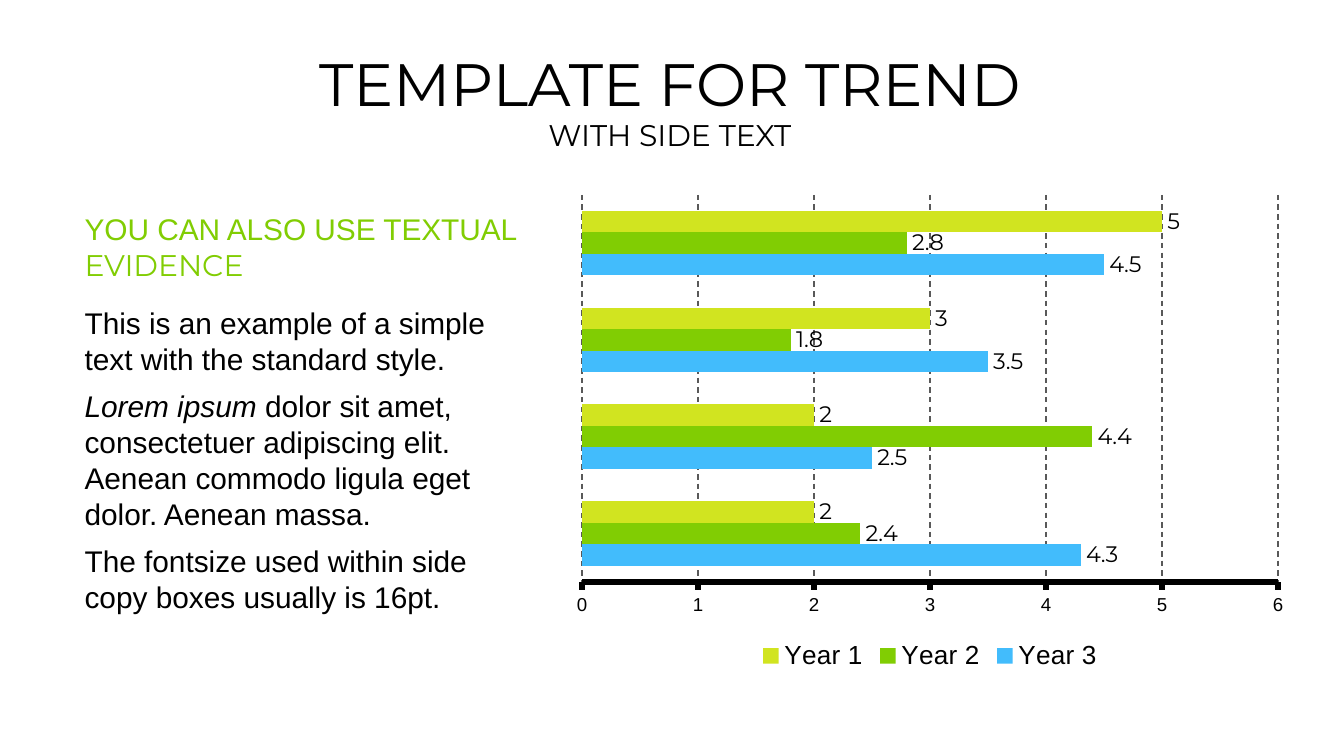
from dataclasses import dataclass

from lxml.etree import SubElement
from pptx import Presentation
from pptx.chart.data import CategoryChartData
from pptx.dml.color import RGBColor as Color
from pptx.enum.chart import XL_CHART_TYPE as ChartType
from pptx.enum.chart import XL_LABEL_POSITION as LabelPosition
from pptx.enum.chart import XL_LEGEND_POSITION as LegendPosition
from pptx.enum.chart import XL_TICK_MARK as TickMark
from pptx.enum.dml import MSO_LINE as LineStyle
from pptx.enum.text import MSO_ANCHOR as Anchor
from pptx.enum.text import PP_ALIGN as Align
from pptx.oxml.ns import qn
from pptx.util import Inches, Pt


@dataclass(frozen=True)
class Theme:
    black: Color = Color.from_string("000000")
    grid: Color = Color.from_string("595959")
    lime: Color = Color.from_string("D1E420")
    green: Color = Color.from_string("81CD03")
    blue: Color = Color.from_string("42BCFC")
    body_font: str = "Arial"
    display_font: str = "Montserrat"
    title_size: Pt = Pt(32)
    chart_size: Pt = Pt(18)
    body_size: Pt = Pt(16)
    legend_size: Pt = Pt(14)
    label_size: Pt = Pt(12)
    axis_size: Pt = Pt(10)


class SlideBuilder:
    """Draws themed elements on one slide."""

    def __init__(self, slide, theme):
        self.slide = slide
        self.theme = theme

    def style(self, font, size, name=None, color=None):
        font.size = size
        font.name = name or self.theme.body_font
        font.color.rgb = color or self.theme.black

    def text_frame(self, left, top, width, height, anchor=Anchor.TOP):
        box = self.slide.shapes.add_textbox(
            Inches(left), Inches(top), Inches(width), Inches(height))
        frame = box.text_frame
        frame.word_wrap = True
        frame.vertical_anchor = anchor
        frame.margin_left = frame.margin_right = 0
        frame.margin_top = frame.margin_bottom = 0
        return frame

    def heading(self, text, top, height, size, anchor=Anchor.TOP, spacing=1.0):
        frame = self.text_frame(0.63, top, 8.71, height, anchor)
        paragraph = frame.paragraphs[0]
        paragraph.text = text
        paragraph.alignment = Align.CENTER
        paragraph.line_spacing = spacing
        self.style(paragraph.font, size, self.theme.display_font)

    def side_text(self, heading_runs, body):
        theme = self.theme
        frame = self.text_frame(0.63, 1.57, 3.27, 3.32)
        heading = frame.paragraphs[0]
        heading.space_after = Pt(6)
        for text, name in heading_runs:
            run = heading.add_run()
            run.text = text
            self.style(run.font, theme.body_size, name, theme.green)
        for runs in body:
            paragraph = frame.add_paragraph()
            paragraph.space_before = Pt(6)
            self.style(paragraph.font, theme.body_size)
            for text, italic in runs:
                run = paragraph.add_run()
                run.text = text
                run.font.italic = italic

    def bar_chart(self, categories, series):
        theme = self.theme
        width, height = 5.48, 3.65
        data = CategoryChartData()
        data.categories = categories
        for name, values, _ in series:
            data.add_series(name, values)
        chart = self.slide.shapes.add_chart(
            ChartType.BAR_CLUSTERED, Inches(4.18), Inches(1.38),
            Inches(width), Inches(height), data).chart
        self.style(chart.font, theme.chart_size)
        chart.has_title = False
        chart.has_legend = True
        chart.legend.position = LegendPosition.BOTTOM
        chart.legend.include_in_layout = False
        self.style(chart.legend.font, theme.legend_size)
        chart.category_axis.visible = False
        self.value_axis(chart.value_axis)
        plot = chart.plots[0]
        plot.gap_width = 150
        plot.overlap = 0
        plot.vary_by_categories = False
        for bars, (_, _, color) in zip(plot.series, series):
            bars.format.fill.solid()
            bars.format.fill.fore_color.rgb = color
            labels = bars.data_labels
            labels.show_value = True
            labels.position = LabelPosition.OUTSIDE_END
            self.style(labels.font, theme.label_size, theme.display_font)
        self.plot_layout(chart, x=0.15 / width, y=0.07 / height,
                         w=5.18 / width, h=2.88 / height)

    def value_axis(self, axis):
        axis.minimum_scale, axis.maximum_scale, axis.major_unit = 0, 6, 1
        axis.major_tick_mark = TickMark.OUTSIDE
        axis.format.line.color.rgb = self.theme.black
        axis.format.line.width = Pt(3)
        self.style(axis.tick_labels.font, self.theme.axis_size)
        axis.has_major_gridlines = True
        line = axis.major_gridlines.format.line
        line.color.rgb = self.theme.grid
        line.width = Pt(0.75)
        line.dash_style = LineStyle.DASH

    def plot_layout(self, chart, **fractions):
        plot_area = chart.plots[0]._element.getparent()
        layout = plot_area.find(qn("c:layout"))
        if layout is None:
            layout = SubElement(plot_area, qn("c:layout"))
            plot_area.insert(0, layout)
        manual = SubElement(layout, qn("c:manualLayout"))
        settings = {"layoutTarget": "inner", "xMode": "edge", "yMode": "edge"}
        for tag, value in {**settings, **fractions}.items():
            SubElement(manual, qn(f"c:{tag}")).set("val", str(value))


def main():
    theme = Theme()
    presentation = Presentation()
    presentation.slide_width = Inches(10)
    presentation.slide_height = Inches(10 * 9 / 16)
    slide = presentation.slides.add_slide(presentation.slide_layouts[6])
    builder = SlideBuilder(slide, theme)
    builder.side_text(
        [("YOU CAN ALSO USE TEXTUAL ", theme.body_font),
         ("EVIDENCE", theme.display_font)],
        [[("This is an example of a simple text with the standard style.", False)],
         [("Lorem ipsum ", True),
          ("dolor sit amet, consectetuer adipiscing elit. "
           "Aenean commodo ligula eget dolor. Aenean massa.", False)],
         [("The fontsize used within side copy boxes usually is 16pt.", False)]])
    builder.heading("TEMPLATE FOR TREND", 0.45, 0.29, theme.title_size, spacing=0.8)
    builder.heading("WITH SIDE TEXT", 0.82, 0.36, theme.body_size, Anchor.MIDDLE)
    builder.bar_chart(
        ["1", "2", "3", "4"],
        [("Year 3", (4.3, 2.5, 3.5, 4.5), theme.blue),
         ("Year 2", (2.4, 4.4, 1.8, 2.8), theme.green),
         ("Year 1", (2, 2, 3, 5), theme.lime)])
    presentation.save("out.pptx")


if __name__ == "__main__":
    main()
